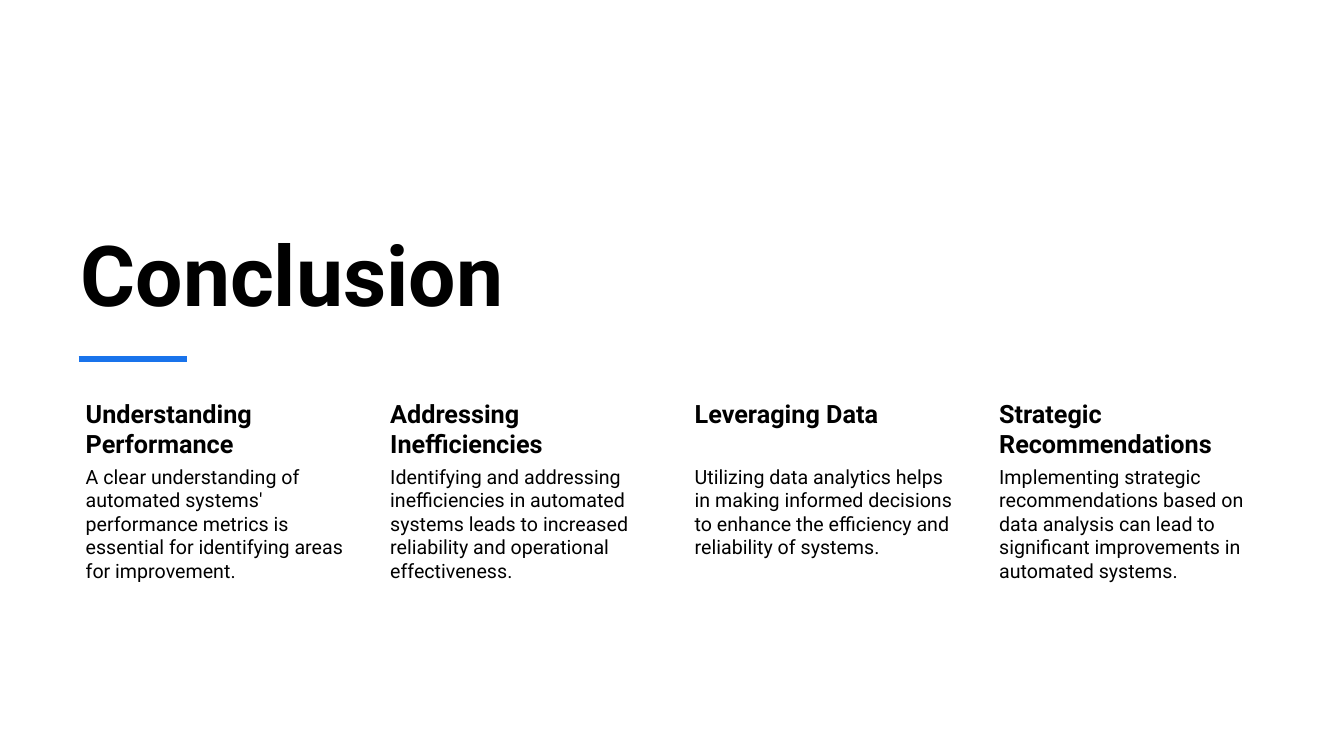
from dataclasses import dataclass

from pptx import Presentation
from pptx import util as u
from pptx.dml.color import RGBColor
from pptx.enum import shapes, text
from pptx.oxml.ns import qn
from lxml import etree


@dataclass(frozen=True)
class Theme:
    font: str = "Roboto"
    ink: RGBColor = RGBColor(0x00, 0x00, 0x00)
    paper: RGBColor = RGBColor(0xFF, 0xFF, 0xFF)
    accent: RGBColor = RGBColor(0x19, 0x73, 0xEB)
    title: int = 60
    heading: int = 18
    body: int = 14
    rule: float = 4.5


theme = Theme()


def add_run(p, words, size, bold):
    r = p.add_run()
    r.text = words
    r.font.name = theme.font
    r.font.size = u.Pt(size)
    r.font.bold = bold
    r.font.color.rgb = theme.ink
    p.alignment = text.PP_ALIGN.LEFT


prs = Presentation()
prs.slide_width = u.Inches(13.33)
prs.slide_height = u.Inches(7.5)
s = prs.slides.add_slide(prs.slide_layouts[5])

backdrop = s.shapes.add_shape(
    shapes.MSO_SHAPE.RECTANGLE, 0, 0, prs.slide_width, prs.slide_height)
backdrop.shadow.inherit = False
backdrop.fill.solid()
backdrop.fill.fore_color.rgb = theme.paper
backdrop.line.fill.background()

left, pitch, col_width = 0.7, 3.02, 2.75
heading_top, heading_height, body_height = 3.92, 0.67, 2.08

title = s.shapes.title
backdrop.element.addnext(title.element)
title.left, title.top = u.Inches(left), u.Inches(1.72)
title.width, title.height = u.Inches(8.93), u.Inches(1.54)
tf = title.text_frame
tf.word_wrap = True
tf.auto_size = text.MSO_AUTO_SIZE.NONE
tf.vertical_anchor = text.MSO_ANCHOR.BOTTOM
add_run(tf.paragraphs[0], "Conclusion", theme.title, True)

columns = [
    ("Understanding Performance",
     "A clear understanding of automated systems' performance metrics is "
     "essential for identifying areas for improvement."),
    ("Addressing Inefficiencies",
     "Identifying and addressing inefficiencies in automated systems leads to "
     "increased reliability and operational effectiveness."),
    ("Leveraging Data",
     "Utilizing data analytics helps in making informed decisions to enhance "
     "the efficiency and reliability of systems."),
    ("Strategic Recommendations",
     "Implementing strategic recommendations based on data analysis can lead "
     "to significant improvements in automated systems."),
]

for i, (heading, body) in enumerate(columns):
    group = s.shapes.add_group_shape()
    rows = [
        (heading, heading_top, heading_height, theme.heading, True, 0.03),
        (body, heading_top + heading_height, body_height, theme.body, False, 0.02),
    ]
    for words, top, height, size, bold, inset in rows:
        sp = group.shapes.add_textbox(
            u.Inches(left + i * pitch), u.Inches(top),
            u.Inches(col_width), u.Inches(height))
        tf = sp.text_frame
        tf.word_wrap = True
        tf.margin_left = u.Inches(0.15)
        tf.margin_top = tf.margin_right = tf.margin_bottom = u.Inches(inset)
        add_run(tf.paragraphs[0], words, size, bold)

rule = s.shapes.add_connector(
    shapes.MSO_CONNECTOR.STRAIGHT,
    u.Inches(0.78), u.Inches(3.56), u.Inches(1.85), u.Inches(3.56))
rule.line.color.rgb = theme.accent
rule.line.width = u.Pt(theme.rule)
etree.SubElement(rule.element.spPr, qn("a:effectLst"))

prs.save("out.pptx")
